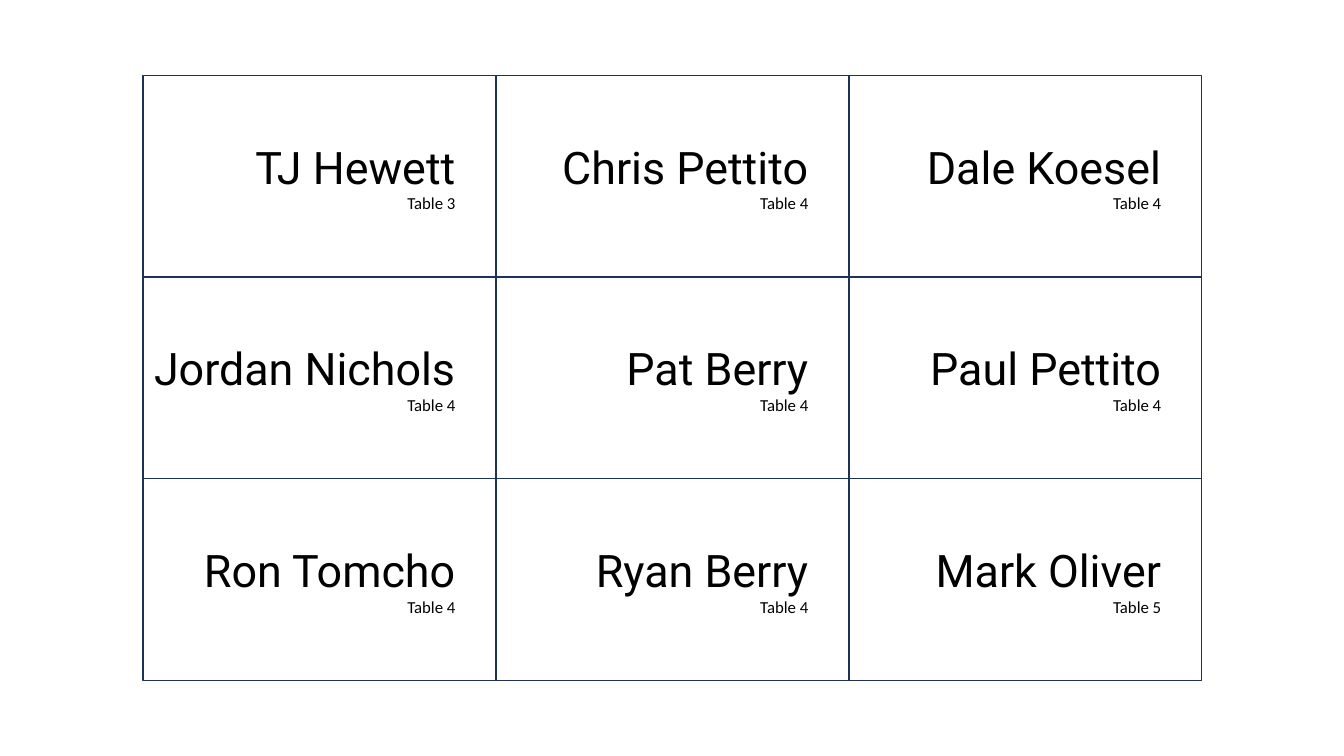
from lxml import etree
from pptx import Presentation
from pptx.dml.color import RGBColor
from pptx.enum.shapes import MSO_SHAPE
from pptx.enum.text import MSO_ANCHOR, PP_ALIGN
from pptx.oxml.ns import qn
from pptx.util import Inches, Pt

RECT = MSO_SHAPE.RECTANGLE
MIDDLE = MSO_ANCHOR.MIDDLE
LEFT = PP_ALIGN.LEFT

COLORS = {"card": "FFFFFF", "edge": "1E3256", "text": "000000"}
STYLES = [("Roboto", 32), ("Calibri", 12)]
COLS = 3
CARD_W, CARD_H = 3.5, 2
TAB = 3

GUESTS = [
    ("TJ Hewett", 3), ("Chris Pettito", 4), ("Dale Koesel", 4),
    ("Jordan Nichols", 4), ("Pat Berry", 4), ("Paul Pettito", 4),
    ("Ron Tomcho", 4), ("Ryan Berry", 4), ("Mark Oliver", 5),
]


def color(name):
    return RGBColor.from_string(COLORS[name])


def set_tab(para):
    tabs = etree.SubElement(para._p.get_or_add_pPr(), qn("a:tabLst"))
    etree.SubElement(tabs, qn("a:tab"), pos=str(Inches(TAB)), algn="r")


def add_card(slide, left, top, width, height, guest, table):
    card = slide.shapes.add_shape(
        RECT, Inches(left), Inches(top), Inches(width), Inches(height))
    card.shadow.inherit = False
    card.fill.solid()
    card.fill.fore_color.rgb = color("card")
    card.line.color.rgb = color("edge")
    card.line.width = Pt(1)
    frame = card.text_frame
    frame.word_wrap = True
    frame.vertical_anchor = MIDDLE
    frame.text = f"\t{guest}\n\tTable {table}"
    for para, (font, size) in zip(frame.paragraphs, STYLES):
        para.alignment = LEFT
        set_tab(para)
        for run in para.runs:
            run.font.name = font
            run.font.size = Pt(size)
            run.font.color.rgb = color("text")


def add_grid(slide, left, top):
    for i, (guest, table) in enumerate(GUESTS):
        row, col = divmod(i, COLS)
        add_card(slide, left + col * CARD_W, top + row * CARD_H,
                 CARD_W, CARD_H, guest, table)


def main():
    deck = Presentation()
    deck.slide_width = Inches(13.33)
    deck.slide_height = Inches(7.5)
    slide = deck.slides.add_slide(deck.slide_layouts[6])
    add_grid(slide, 1.42, 0.75)
    deck.save("out.pptx")


if __name__ == "__main__":
    main()
